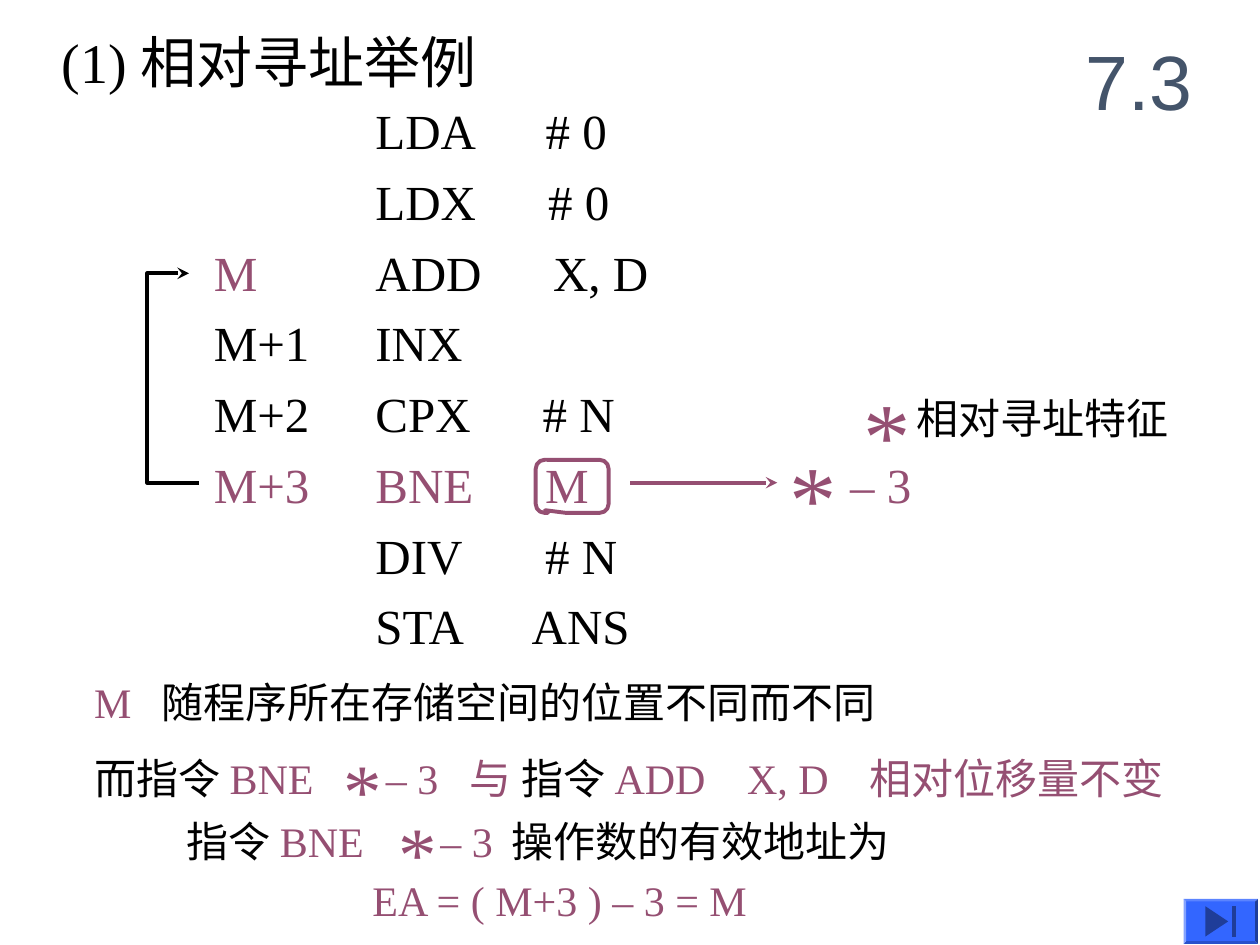
from dataclasses import dataclass

from lxml.etree import SubElement
from pptx import Presentation
from pptx.dml.color import RGBColor
from pptx.enum.shapes import MSO_CONNECTOR, MSO_SHAPE
from pptx.enum.text import MSO_ANCHOR, PP_ALIGN
from pptx.oxml.ns import qn
from pptx.util import Cm, Pt


@dataclass(frozen=True)
class Theme:
    ink: RGBColor = RGBColor(0x00, 0x00, 0x00)
    accent: RGBColor = RGBColor(0x95, 0x4F, 0x72)
    chapter: RGBColor = RGBColor(0x44, 0x54, 0x6A)
    button: RGBColor = RGBColor(0x33, 0x66, 0xFF)
    button_icon: RGBColor = RGBColor(0x1F, 0x3D, 0x99)
    serif: str = "Times New Roman"
    sans: str = "Arial"
    title: int = 32
    code: int = 28
    note: int = 24
    number: int = 44
    big_star: int = 54
    small_star: int = 44
    stroke: float = 2.25


THEME = Theme()

# address, operation, operand, operand tab stop in cm, colour
PROGRAM = [
    ("", "LDA", "# 0", 3.43, THEME.ink),
    ("", "LDX", "# 0", 3.48, THEME.ink),
    ("M", "ADD", "X, D", 3.58, THEME.ink),
    ("M+1", "INX", "", 0, THEME.ink),
    ("M+2", "CPX", "# N", 3.37, THEME.ink),
    ("M+3", "BNE", "M", 3.42, THEME.accent),
    ("", "DIV", "# N", 3.42, THEME.ink),
    ("", "STA", "ANS", 3.15, THEME.ink),
]


def add_text(slide, box, runs, size, font=THEME.serif, tabs=(), indent=0, inset_top=0.13):
    """Place one paragraph of (text, colour) runs; box and tab stops are in cm."""
    frame = slide.shapes.add_textbox(*map(Cm, box)).text_frame
    frame.word_wrap = True
    frame.margin_top = Cm(inset_top)
    paragraph = frame.paragraphs[0]
    properties = paragraph._p.get_or_add_pPr()
    if indent:
        properties.set("marL", str(Cm(indent)))
    if tabs:
        stops = SubElement(properties, qn("a:tabLst"))
        for stop in tabs:
            SubElement(stops, qn("a:tab"), pos=str(Cm(stop)), algn="l")
    for text, colour in runs:
        run = paragraph.add_run()
        run.text = text
        run.font.name = font
        run.font.size = Pt(size)
        run.font.color.rgb = colour
    return frame


def add_outline(slide, points, closed):
    builder = slide.shapes.build_freeform(*map(Cm, points[0]))
    builder.add_line_segments([tuple(map(Cm, point)) for point in points[1:]], close=closed)
    outline = builder.convert_to_shape()
    outline.shadow.inherit = False
    return outline


def set_stroke(line, colour, arrow=False):
    line.color.rgb = colour
    line.width = Pt(THEME.stroke)
    if arrow:
        SubElement(line._get_or_add_ln(), qn("a:tailEnd"), type="stealth")


def add_star(slide, left, top, size, label, label_at, label_size, colour, width=1.75, inset_top=0.23):
    """Place a large star and its label, shifted from the star by label_at."""
    dx, dy = label_at
    add_text(slide, (left + dx, top + dy, width, 1.4), [(label, colour)], label_size,
             inset_top=inset_top)
    add_text(slide, (left, top, 1.9, 2.54), [("*", THEME.accent)], size)


def add_heading(slide, left, top, width, height):
    add_text(slide, (left, top, 10, 1.63), [("(1) 相对寻址举例", THEME.ink)],
             THEME.title, indent=0.28)
    number_width = 3.18
    chapter = add_text(slide, (left + width - number_width, top, number_width, height),
                       [("7.3", THEME.chapter)], THEME.number, THEME.sans)
    chapter.vertical_anchor = MSO_ANCHOR.MIDDLE
    chapter.paragraphs[0].alignment = PP_ALIGN.CENTER


def add_program(slide, left, top, width, height):
    """Program listing with the jump back from M+3 to M on its left."""
    pitch = height / len(PROGRAM)
    for row, (address, operation, operand, stop, colour) in enumerate(PROGRAM):
        y = top + row * pitch
        if address:
            address_colour = THEME.accent if address == "M" else colour
            add_text(slide, (left + 1.09, y, 2.5, 1.45), [(address, address_colour)], THEME.code)
        runs = [(operation, colour)]
        if operand:
            runs.append(("\t" + operand, colour))
        add_text(slide, (left + 4.35, y, width - 4.35, 1.45), runs, THEME.code,
                 tabs=[stop] if stop else ())

    jump_from, jump_to = top + 7.83, top + 3.61
    jump = add_outline(slide, [(left + 1.04, jump_from), (left, jump_from),
                               (left, jump_to), (left + 0.84, jump_to)], closed=False)
    jump.fill.background()
    set_stroke(jump.line, THEME.ink, arrow=True)


def add_offset(slide, left, top):
    """Framed operand M, its arrow and the relative form it stands for."""
    frame = slide.shapes.add_shape(MSO_SHAPE.ROUNDED_RECTANGULAR_CALLOUT,
                                   Cm(left), Cm(top), Cm(1.47), Cm(1.07))
    for index, value in enumerate((-0.37, 0.45, 0.17)):
        frame.adjustments[index] = value
    frame.shadow.inherit = False
    frame.fill.background()
    set_stroke(frame.line, THEME.accent)

    arrow_y = Cm(top + 0.46)
    arrow = slide.shapes.add_connector(MSO_CONNECTOR.STRAIGHT, Cm(left + 1.9), arrow_y,
                                       Cm(left + 4.87), arrow_y)
    set_stroke(arrow.line, THEME.accent, arrow=True)
    SubElement(arrow._element.spPr, qn("a:effectLst"))

    add_star(slide, left + 4.87, top - 0.58, THEME.big_star, "– 3", (1.22, 0.25),
             THEME.code, THEME.accent)
    add_star(slide, left + 6.35, top - 1.85, THEME.big_star, "相对寻址特征", (1.07, 0.36),
             THEME.note, THEME.ink, width=6.3, inset_top=0.13)


def add_explanation(slide, left, top, width, height):
    ink, accent = THEME.ink, THEME.accent
    line_height = 1.27
    add_text(slide, (left, top, width, line_height),
             [("M", accent), ("\t随程序所在存储空间的位置不同而不同", ink)],
             THEME.note, tabs=[1.36])
    add_text(slide, (left, top + 1.53, width, line_height),
             [("而指令 ", ink), ("BNE\t与 ", accent), ("指令 ", ink),
              ("ADD\tX, D\t相对位移量不变", accent)],
             THEME.note, tabs=[7.57, 13.16, 15.62])
    add_text(slide, (left + 1.86, top + 2.8, 4.6, line_height),
             [("指令 ", ink), ("BNE", accent)], THEME.note)
    add_text(slide, (left + 8.41, top + 2.8, 8.4, line_height),
             [("操作数的有效地址为", ink)], THEME.note)
    for star_left, star_top in ((5.03, 1.3), (6.13, 2.57)):
        add_star(slide, left + star_left, top + star_top, THEME.small_star, "– 3",
                 (0.85, 0.13), THEME.note, accent)
    add_text(slide, (left + 5.61, top + height - line_height, 8.2, line_height),
             [("EA = ( M+3 ) – 3 = M", accent)], THEME.note)


def add_end_button(slide, left, top, width, height):
    button = slide.shapes.add_shape(MSO_SHAPE.BEVEL, *map(Cm, (left, top, width, height)))
    button.adjustments[0] = 0.06
    button.shadow.inherit = False
    button.fill.solid()
    button.fill.fore_color.rgb = THEME.button
    button.line.fill.background()

    x, y = left + 0.44, top + 0.15
    bottom = top + height - 0.15
    triangle = [(x, y), (x + 0.46, top + height / 2), (x, bottom)]
    bar = [(x + 0.53, y), (x + 0.61, y), (x + 0.61, bottom), (x + 0.53, bottom)]
    for points in (triangle, bar):
        icon = add_outline(slide, points, closed=True)
        icon.fill.solid()
        icon.fill.fore_color.rgb = THEME.button_icon
        icon.line.fill.background()


def main():
    deck = Presentation()
    deck.slide_width, deck.slide_height = Cm(25.4), Cm(19.05)
    slide = deck.slides.add_slide(deck.slide_layouts[6])
    add_heading(slide, 0.71, 0.43, 23.85, 2.34)
    add_program(slide, 2.97, 1.9, 10.5, 11.41)
    add_explanation(slide, 1.65, 13.51, 25.22, 5.26)
    add_offset(slide, 10.8, 9.27)
    add_end_button(slide, 23.86, 18.12, 1.5, 0.91)
    deck.save("out.pptx")


if __name__ == "__main__":
    main()
